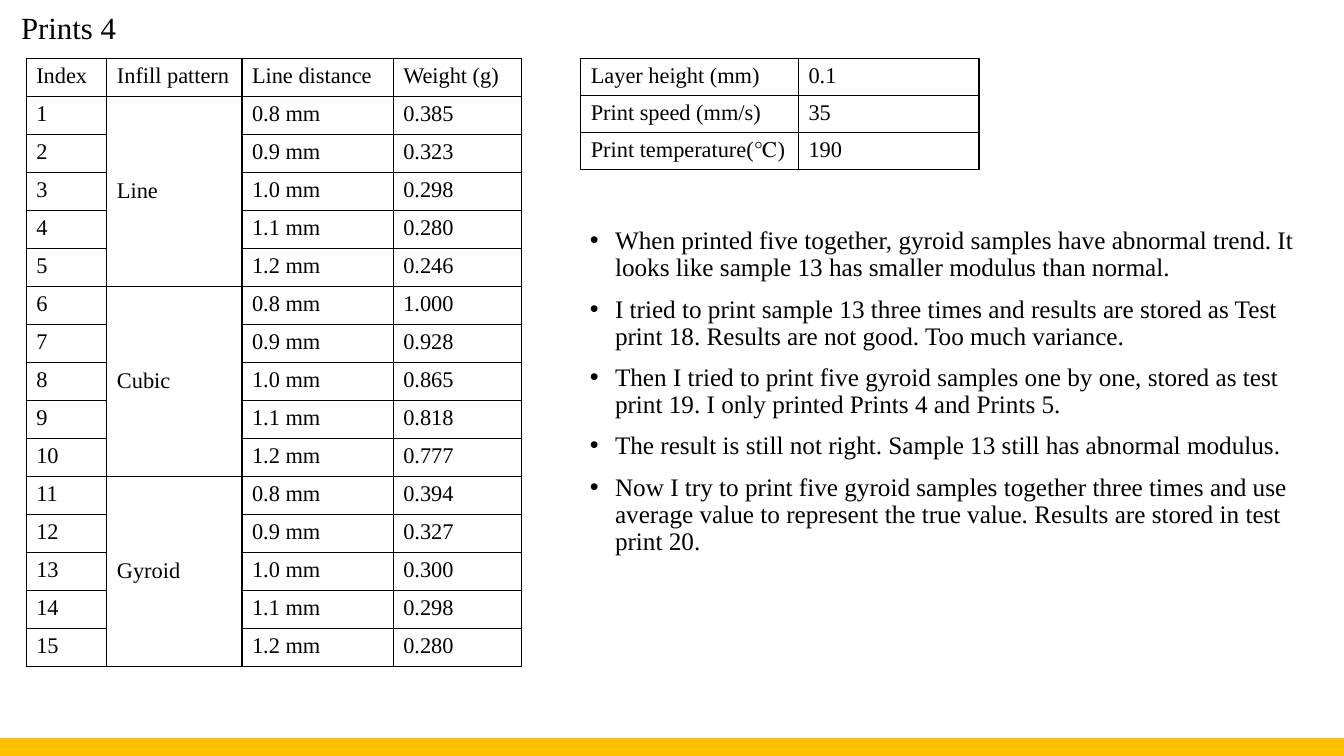
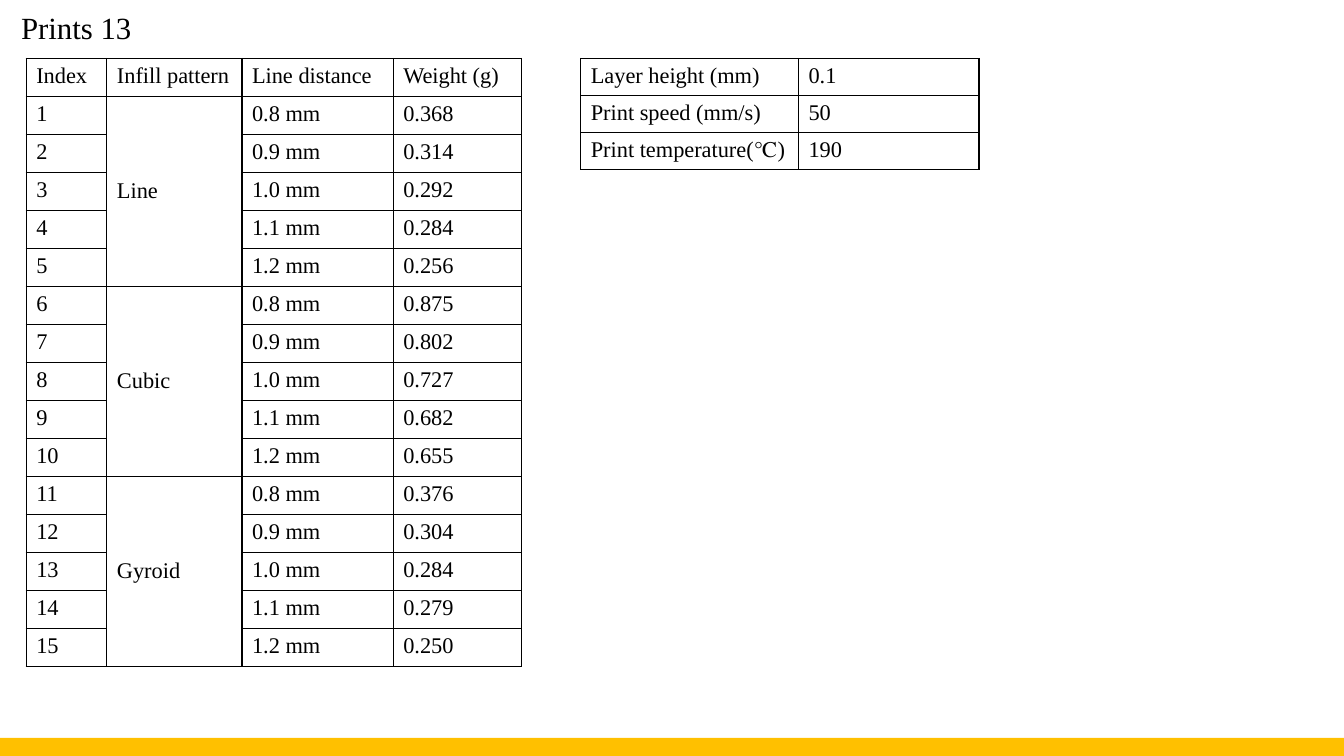
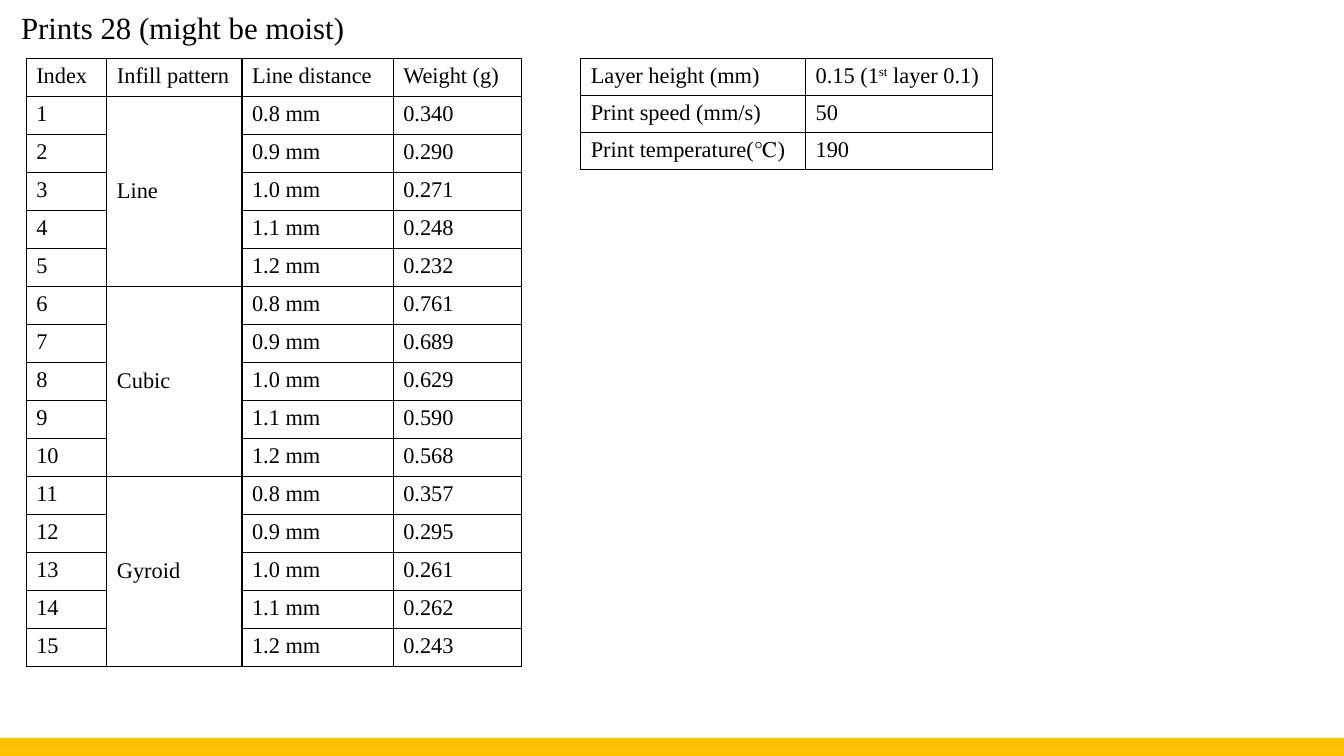
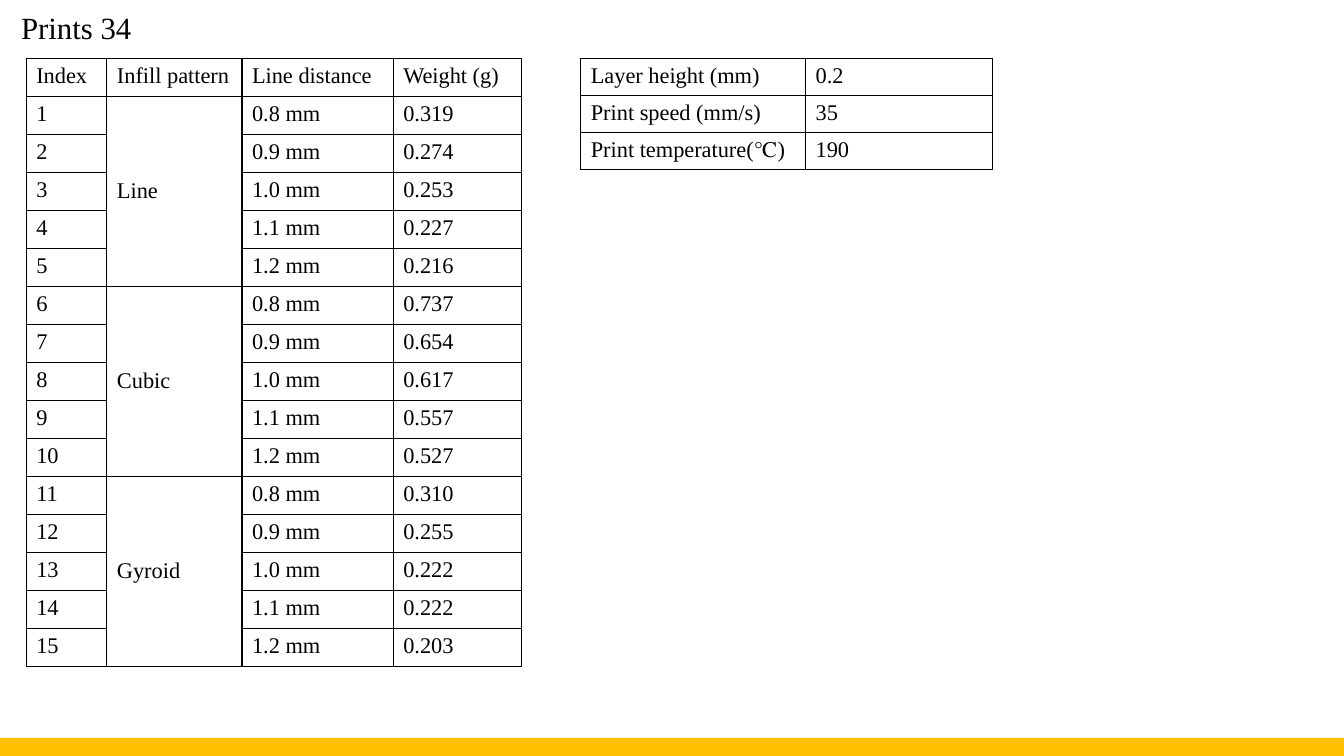
from itertools import product

from lxml.etree import SubElement
from pptx import Presentation
from pptx.dml.color import RGBColor
from pptx.enum.shapes import MSO_SHAPE as Shape, PP_PLACEHOLDER as Holder
from pptx.enum.text import MSO_ANCHOR as Anchor, MSO_AUTO_SIZE as AutoSize, PP_ALIGN as Align
from pptx.oxml.ns import qn
from pptx.util import Inches, Pt

BLACK = RGBColor(0x00, 0x00, 0x00)
GOLD = RGBColor(0xFF, 0xC0, 0x00)
FONT = "Times New Roman"
TITLE_SIZE, LIST_SIZE, TABLE_SIZE = 22, 18, 16
SLIDE_WIDTH, SLIDE_HEIGHT, BAND_HEIGHT = 13.33, 7.5, 0.18
LIST_LAYOUT, TITLE_LAYOUT = "Title and Content", "Title Only"

TITLE_BOX = (0.11, 0, 13.22, 0.58)
SAMPLES_BOX = (0.26, 0.58, 4.91, 6.03)
NOTES_BOX = (5.75, 2.21, 7.32, 4.3)
SETTINGS_LEFT, SETTINGS_TOP, SETTINGS_HEIGHT = 5.76, 0.58, 1.1
SAMPLE_COLUMNS = (0.8, 1.34, 1.5, 1.27)
NARROW_SETTINGS, WIDE_SETTINGS = (2.16, 1.79), (2.23, 1.85)

SAMPLE_HEADINGS = ("Index", "Infill pattern", "Line distance", "Weight (g)")
PATTERNS = ("Line", "Cubic", "Gyroid")
DISTANCES = ("0.8 mm", "0.9 mm", "1.0 mm", "1.1 mm", "1.2 mm")
SETTING_NAMES = ("Layer height (mm)", "Print speed (mm/s)", "Print temperature(℃)")

NOTES = (
    "When printed five together, gyroid samples have abnormal trend. "
    "It looks like sample 13 has smaller modulus than normal.",
    "I tried to print sample 13 three times and results are stored as Test print 18. "
    "Results are not good. Too much variance.",
    "Then I tried to print five gyroid samples one by one, stored as test print 19. "
    "I only printed Prints 4 and Prints 5.",
    "The result is still not right. Sample 13 still has abnormal modulus.",
    "Now I try to print five gyroid samples together three times and use average value "
    "to represent the true value. Results are stored in test print 20.",
)

PRINTS = (
    ("Prints 4", NARROW_SETTINGS, ("0.1", "35", "190"),
     (0.385, 0.323, 0.298, 0.280, 0.246, 1.000, 0.928, 0.865, 0.818, 0.777,
      0.394, 0.327, 0.300, 0.298, 0.280), NOTES),
    ("Prints 13", NARROW_SETTINGS, ("0.1", "50", "190"),
     (0.368, 0.314, 0.292, 0.284, 0.256, 0.875, 0.802, 0.727, 0.682, 0.655,
      0.376, 0.304, 0.284, 0.279, 0.250), ()),
    ("Prints 28 (might be moist)", WIDE_SETTINGS,
     (("0.15 (1", "st", " layer 0.1)"), "50", "190"),
     (0.340, 0.290, 0.271, 0.248, 0.232, 0.761, 0.689, 0.629, 0.590, 0.568,
      0.357, 0.295, 0.261, 0.262, 0.243), ()),
    ("Prints 34", WIDE_SETTINGS, ("0.2", "35", "190"),
     (0.319, 0.274, 0.253, 0.227, 0.216, 0.737, 0.654, 0.617, 0.557, 0.527,
      0.310, 0.255, 0.222, 0.222, 0.203), ()),
)


def place(shape, box):
    """Move a shape to a box given in inches."""
    shape.left, shape.top, shape.width, shape.height = map(Inches, box)


def add_span(para, text, size):
    """Add one run in the deck's font and return it."""
    span = para.add_run()
    span.text = text
    span.font.name = FONT
    span.font.size = Pt(size)
    span.font.color.rgb = BLACK
    return span


def prepare_master(deck):
    """Keep the two layouts in use, with only title and body placeholders."""
    for layout in list(deck.slide_layouts):
        if layout.name not in (LIST_LAYOUT, TITLE_LAYOUT):
            deck.slide_layouts.remove(layout)
    for owner in (deck.slide_master, *deck.slide_layouts):
        for holder in list(owner.placeholders):
            if holder.placeholder_format.type in (Holder.DATE, Holder.FOOTER, Holder.SLIDE_NUMBER):
                owner.shapes.element.remove(holder.element)
    for holder in deck.slide_master.placeholders:
        is_title = holder.placeholder_format.type == Holder.TITLE
        place(holder, TITLE_BOX if is_title else NOTES_BOX)


def add_master_band(deck, page):
    """Put the gold bottom band on the master, behind everything."""
    band = page.shapes.add_shape(
        Shape.RECTANGLE, 0, Inches(SLIDE_HEIGHT - BAND_HEIGHT),
        deck.slide_width, Inches(BAND_HEIGHT))
    band.shadow.inherit = False
    band.fill.solid()
    band.fill.fore_color.rgb = GOLD
    band.line.fill.background()
    band.element.xpath("./p:nvSpPr/p:cNvPr")[0].set("id", "100")
    deck.slide_master.shapes.element.insert(2, band.element)


def fill_title(page, text, box):
    """Write the slide title in its placeholder."""
    title = page.shapes.title
    place(title, box)
    frame = title.text_frame
    frame.auto_size = AutoSize.NONE
    frame.vertical_anchor = Anchor.MIDDLE
    para = frame.paragraphs[0]
    para.alignment = Align.LEFT
    para.line_spacing = 0.9
    add_span(para, text, TITLE_SIZE)


def fill_notes(page, notes, box):
    """Write the bulleted remarks in the body placeholder."""
    body = page.placeholders[1]
    place(body, box)
    frame = body.text_frame
    frame.auto_size = AutoSize.NONE
    for number, note in enumerate(notes):
        para = frame.add_paragraph() if number else frame.paragraphs[0]
        props = para._p.get_or_add_pPr()
        props.set("marL", str(Inches(0.25)))
        props.set("indent", str(-Inches(0.25)))
        SubElement(props, qn("a:buFont"), typeface="Arial")
        SubElement(props, qn("a:buChar"), char="•")
        para.line_spacing = 0.9
        para.space_before = Pt(10 if number else 0)
        add_span(para, note, LIST_SIZE)


def style_cell(cell):
    """Give a cell black borders and no fill."""
    props = cell._tc.get_or_add_tcPr()
    for side in ("lnL", "lnR", "lnT", "lnB"):
        border = SubElement(props, qn(f"a:{side}"), w=str(Pt(1)))
        color = SubElement(SubElement(border, qn("a:solidFill")), qn("a:srgbClr"))
        color.set("val", str(BLACK))
    cell.fill.background()


def add_grid(page, rows, columns, box):
    """Add a plain ruled table; a tuple cell holds base, superscript, base."""
    frame = page.shapes.add_table(len(rows), len(columns), *map(Inches, box))
    table = frame.table
    table.first_row = table.horz_banding = False
    for column, width in zip(table.columns, columns):
        column.width = Inches(width)
    for row, column in product(range(len(rows)), range(len(columns))):
        cell = table.cell(row, column)
        style_cell(cell)
        content = rows[row][column]
        parts = content if isinstance(content, tuple) else (content,)
        for number, text in enumerate(parts):
            if text:
                span = add_span(cell.text_frame.paragraphs[0], text, TABLE_SIZE)
                if number == 1:
                    span.font._element.set("baseline", "30000")
    return table


def add_samples(page, weights, box):
    """Add the table of samples, with one merged cell for each infill pattern."""
    group = len(DISTANCES)
    rows = [SAMPLE_HEADINGS]
    for number, weight in enumerate(weights):
        pattern, step = divmod(number, group)
        name = "" if step else PATTERNS[pattern]
        rows.append((str(number + 1), name, DISTANCES[step], f"{weight:.3f}"))
    table = add_grid(page, rows, SAMPLE_COLUMNS, box)
    for first in range(1, len(rows), group):
        cell = table.cell(first, 1)
        cell.merge(table.cell(first + group - 1, 1))
        cell.vertical_anchor = Anchor.MIDDLE


def add_settings(page, values, columns):
    """Add the table of printer settings."""
    box = (SETTINGS_LEFT, SETTINGS_TOP, sum(columns), SETTINGS_HEIGHT)
    add_grid(page, list(zip(SETTING_NAMES, values)), columns, box)


def add_print_page(deck, title, columns, settings, weights, notes):
    """Add the slide for one series of prints."""
    layout = deck.slide_layouts.get_by_name(LIST_LAYOUT if notes else TITLE_LAYOUT)
    page = deck.slides.add_slide(layout)
    fill_title(page, title, TITLE_BOX)
    add_settings(page, settings, columns)
    add_samples(page, weights, SAMPLES_BOX)
    if notes:
        fill_notes(page, notes, NOTES_BOX)
    return page


def main():
    """Build and save the deck."""
    deck = Presentation()
    deck.slide_width, deck.slide_height = Inches(SLIDE_WIDTH), Inches(SLIDE_HEIGHT)
    prepare_master(deck)
    pages = [add_print_page(deck, *series) for series in PRINTS]
    add_master_band(deck, pages[0])
    deck.save("out.pptx")


if __name__ == "__main__":
    main()
